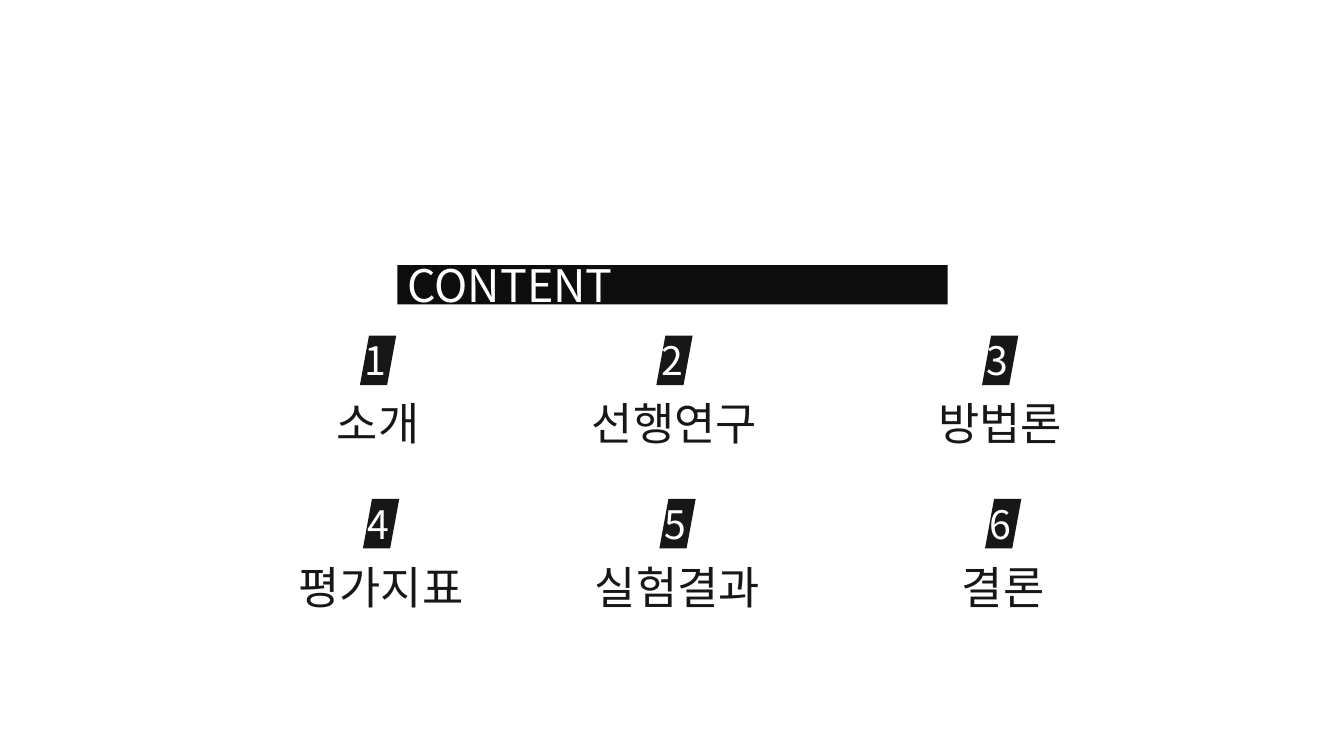
from dataclasses import dataclass

from lxml import etree
from pptx import Presentation
from pptx.dml.color import RGBColor
from pptx.enum.shapes import MSO_SHAPE
from pptx.enum.text import MSO_ANCHOR, MSO_AUTO_SIZE, PP_ALIGN
from pptx.oxml.ns import qn
from pptx.util import Inches, Pt

PARALLELOGRAM = MSO_SHAPE.PARALLELOGRAM
MIDDLE = MSO_ANCHOR.MIDDLE
FIXED, GROW = MSO_AUTO_SIZE.NONE, MSO_AUTO_SIZE.SHAPE_TO_FIT_TEXT
LEFT, CENTER, JUSTIFY = PP_ALIGN.LEFT, PP_ALIGN.CENTER, PP_ALIGN.JUSTIFY


@dataclass(frozen=True)
class Theme:
    font: str = "Noto Sans CJK KR"
    bar: RGBColor = RGBColor(0x0D, 0x0D, 0x0D)
    ink: RGBColor = RGBColor(0x18, 0x17, 0x17)
    white: RGBColor = RGBColor(0xFF, 0xFF, 0xFF)
    heading: Pt = Pt(32)
    number: Pt = Pt(28)


theme = Theme()


def write(box, text, size, color, align):
    para = box.text_frame.paragraphs[0]
    para.alignment = align
    span = para.add_run()
    span.text = text
    span.font.size = size
    span.font.color.rgb = color
    span.font.name = theme.font
    east_asian = etree.SubElement(span.font._element, qn("a:ea"))
    east_asian.set("typeface", theme.font)


def add_label(page, left, top, width, height, text, size, color, align):
    box = page.shapes.add_textbox(Inches(left), Inches(top), Inches(width), Inches(height))
    box.text_frame.word_wrap = False
    box.text_frame.auto_size = GROW
    write(box, text, size, color, align)


deck = Presentation()
deck.slide_width = Inches(13.33)
deck.slide_height = Inches(7.5)
page = deck.slides.add_slide(deck.slide_layouts[5])
page.background.fill.solid()
page.background.fill.fore_color.rgb = theme.white

title = page.shapes.title
title.left, title.top = Inches(3.94), Inches(2.63)
title.width, title.height = Inches(5.46), Inches(0.39)
title.fill.solid()
title.fill.fore_color.rgb = theme.bar
title.text_frame.auto_size = FIXED
title.text_frame.vertical_anchor = MIDDLE
write(title, "CONTENT", theme.heading, theme.white, JUSTIFY)

column_lefts = [3.57, 6.51, 9.74]
rows = [
    (0, 3.33, [("소개", 1.1), ("선행연구", 2), ("방법론", 1.55)]),
    (0.03, 4.95, [("평가지표", 2), ("실험결과", 2), ("결론", 1.1)]),
]
badge_width, badge_height = 0.36, 0.49
number = 0

for shift, top, topics in rows:
    for column_left, (topic, width) in zip(column_lefts, topics):
        number += 1
        left = column_left + shift
        badge = page.shapes.add_shape(
            PARALLELOGRAM, Inches(left), Inches(top), Inches(badge_width), Inches(badge_height)
        )
        badge.shadow.inherit = False
        badge.fill.solid()
        badge.fill.fore_color.rgb = theme.ink
        badge.line.fill.background()
        add_label(page, left - 0.05, top - 0.04, 0.45, 0.57,
                  str(number), theme.number, theme.white, LEFT)
        add_label(page, left + badge_width / 2 - width / 2, top + 0.55, width, 0.64,
                  topic, theme.heading, theme.ink, CENTER)

deck.save("out.pptx")
